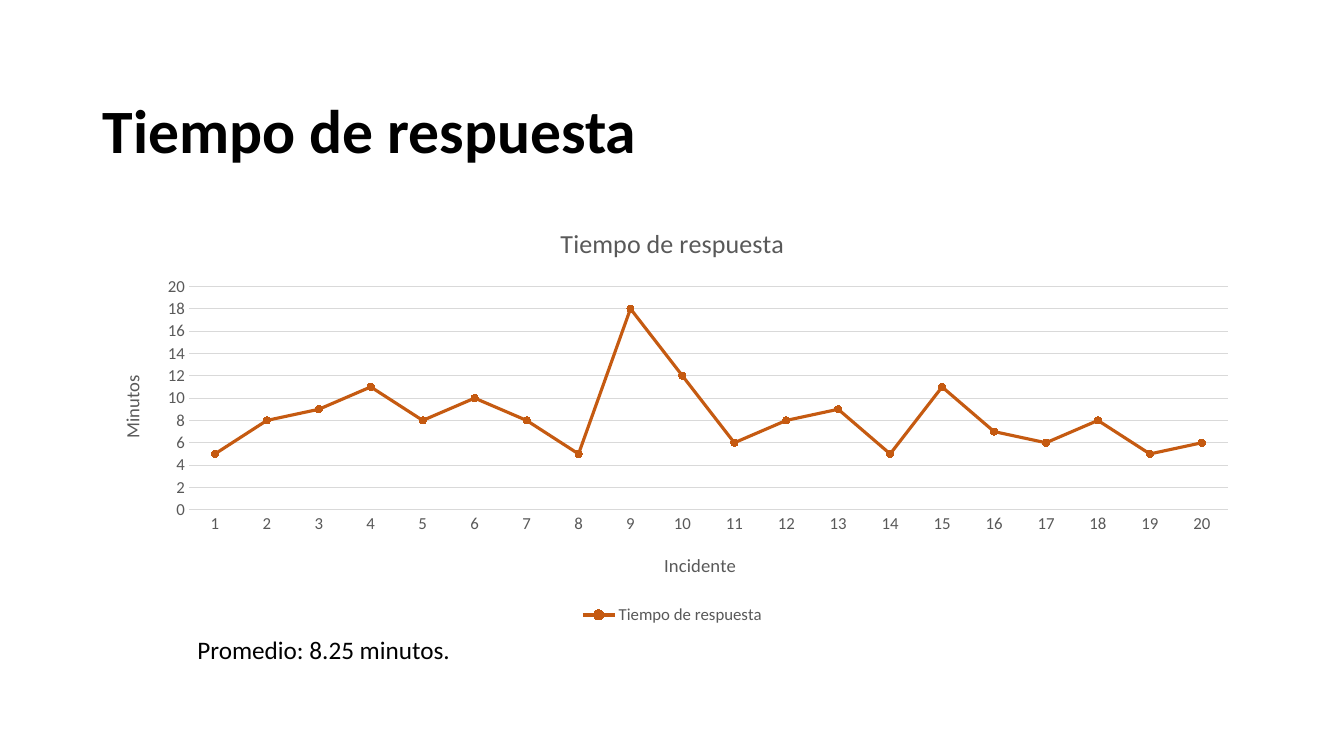
"""Build the response time slide with its line chart."""
from dataclasses import dataclass

from lxml.etree import SubElement
from pptx import Presentation
from pptx.chart.axis import _BaseAxis as Axis
from pptx.chart.data import CategoryChartData
from pptx.dml.color import RGBColor
from pptx.enum.chart import XL_CHART_TYPE as ChartType
from pptx.enum.chart import XL_LEGEND_POSITION as LegendPosition
from pptx.enum.chart import XL_MARKER_STYLE as MarkerStyle
from pptx.enum.chart import XL_TICK_MARK as TickMark
from pptx.enum.text import MSO_ANCHOR, PP_ALIGN
from pptx.oxml.ns import qn
from pptx.util import Inches, Pt

BLACK = RGBColor(0x00, 0x00, 0x00)
GRAY = RGBColor(0x59, 0x59, 0x59)
LIGHT = RGBColor(0xD9, 0xD9, 0xD9)
ORANGE = RGBColor(0xC5, 0x5A, 0x11)
FONT = "Calibri"
TITLE = "Tiempo de respuesta"
MINUTES = (5, 8, 9, 11, 8, 10, 8, 5, 18, 12, 6, 8, 9, 5, 11, 7, 6, 8, 5, 6)


@dataclass
class AxisLabel:
    text: str
    x: float
    y: float
    rotation: int


INCIDENT = AxisLabel("Incidente", 0.49, 0.81, 0)
MINUTE = AxisLabel("Minutos", 0.02, 0.39, -90)


def set_font(font, size: float, color: RGBColor, bold: bool = False) -> None:
    font.name, font.size, font.bold = FONT, Pt(size), bold
    font.color.rgb = color


def set_layout(parent, index: int, **values) -> None:
    for old in parent.findall(qn("c:layout")):
        parent.remove(old)
    layout = SubElement(parent, qn("c:layout"))
    parent.insert(index, layout)
    manual = SubElement(layout, qn("c:manualLayout"))
    for tag, value in values.items():
        SubElement(manual, qn(f"c:{tag}")).set("val", str(value))


def style_axis(axis: Axis, label: AxisLabel) -> None:
    axis.major_tick_mark = axis.minor_tick_mark = TickMark.NONE
    set_font(axis.tick_labels.font, 12, GRAY)
    tf = axis.axis_title.text_frame
    tf.text = label.text
    set_font(tf.paragraphs[0].font, 13.3, GRAY)
    body = tf._txBody.bodyPr
    body.set("rot", str(label.rotation * 60000))
    body.set("vert", "horz")
    set_layout(axis.axis_title._element, 1, xMode="edge", yMode="edge",
               x=label.x, y=label.y)


def add_response_chart(s) -> None:
    data = CategoryChartData()
    data.categories = [str(n) for n in range(1, len(MINUTES) + 1)]
    data.add_series(TITLE, MINUTES)
    chart = s.shapes.add_chart(ChartType.LINE_MARKERS, Inches(0.92), Inches(2.05),
                               Inches(11.5), Inches(4.19), data).chart
    set_font(chart.font, 10, BLACK)
    chart.has_title = True
    tf = chart.chart_title.text_frame
    tf.text = TITLE
    set_font(tf.paragraphs[0].font, 18.6, GRAY)

    chart.has_legend = True
    chart.legend.position = LegendPosition.BOTTOM
    chart.legend.include_in_layout = False
    set_font(chart.legend.font, 12, GRAY)

    style_axis(chart.category_axis, INCIDENT)
    style_axis(chart.value_axis, MINUTE)
    axis = chart.value_axis
    axis.minimum_scale, axis.maximum_scale, axis.major_unit = 0, 20, 2
    axis.format.line.fill.background()
    for line in (chart.category_axis.format.line, axis.major_gridlines.format.line):
        line.color.rgb, line.width = LIGHT, Pt(0.75)

    plot = chart.plots[0]
    plot.vary_by_categories = False
    series = plot.series[0]
    series.smooth = False
    series.format.line.color.rgb = ORANGE
    series.format.line.width = Pt(2.25)
    marker = series.marker
    marker.style, marker.size = MarkerStyle.CIRCLE, 5
    marker.format.fill.solid()
    marker.format.fill.fore_color.rgb = ORANGE
    marker.format.line.color.rgb = ORANGE
    set_layout(chart._chartSpace.chart.plotArea, 0, layoutTarget="inner",
               xMode="edge", yMode="edge", x=0.083, y=0.189, w=0.896, h=0.529)


def main() -> None:
    prs = Presentation()
    prs.slide_width, prs.slide_height = Inches(13.33), Inches(7.5)
    s = prs.slides.add_slide(prs.slide_layouts[5])

    title = s.shapes.title
    title.left, title.top = Inches(0.92), Inches(0.6)
    title.width, title.height = Inches(11.5), Inches(1.45)
    tf = title.text_frame
    tf.text = TITLE
    tf.vertical_anchor = MSO_ANCHOR.MIDDLE
    p = tf.paragraphs[0]
    p.alignment, p.line_spacing = PP_ALIGN.LEFT, 0.9
    set_font(p.font, 44, BLACK, bold=True)

    add_response_chart(s)

    average = s.shapes.add_textbox(Inches(1.86), Inches(6.24), Inches(2.94), Inches(0.4))
    tf = average.text_frame
    tf.word_wrap = True
    tf.text = "Promedio: 8.25 minutos."
    set_font(tf.paragraphs[0].font, 18, BLACK)

    prs.save("out.pptx")


if __name__ == "__main__":
    main()
